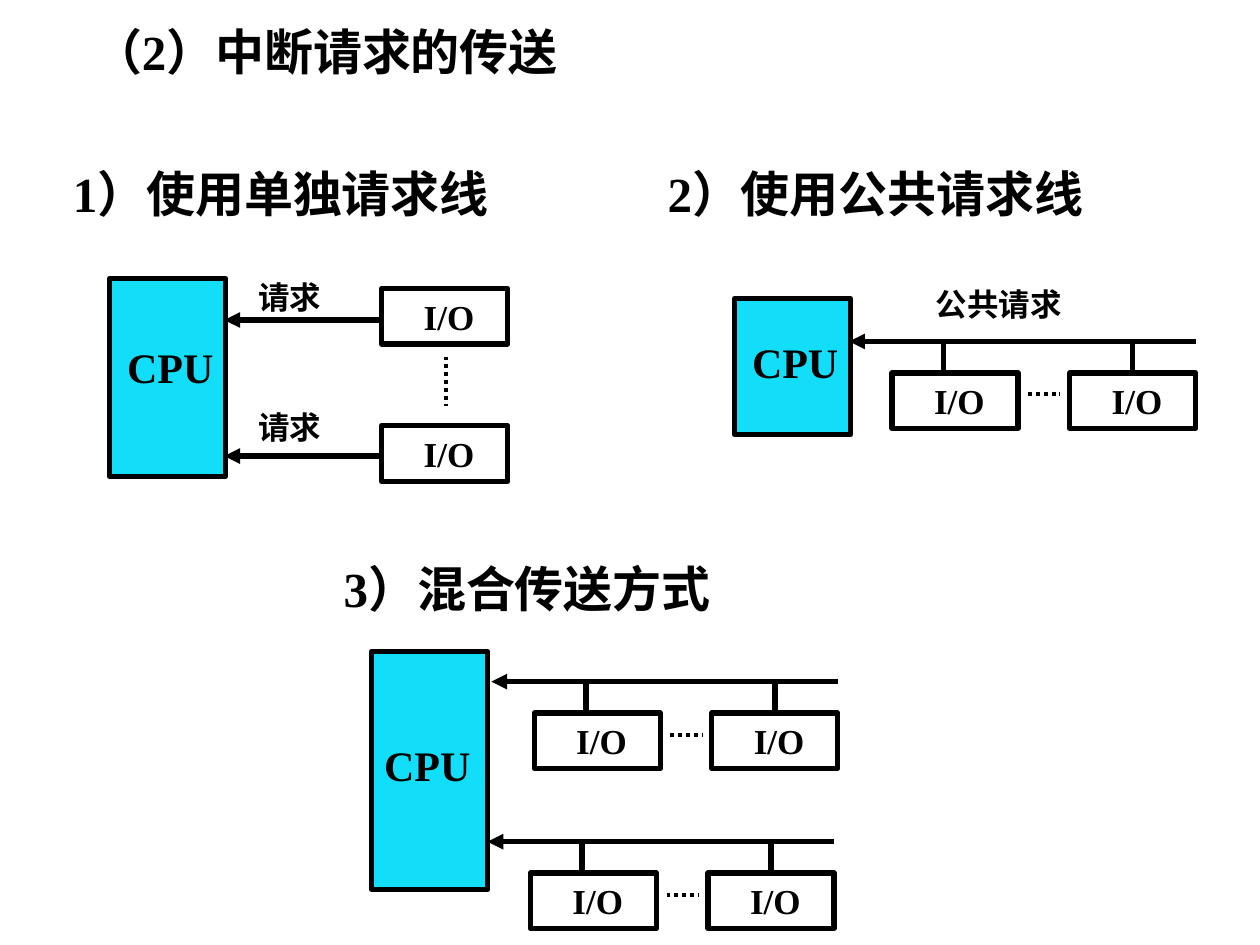
from dataclasses import dataclass

from lxml import etree
from pptx import Presentation
from pptx.dml.color import RGBColor
from pptx.enum import dml, shapes, text
from pptx.oxml.ns import qn
from pptx.util import Inches, Pt


@dataclass(frozen=True)
class Theme:
    ink: RGBColor = RGBColor(0x00, 0x00, 0x00)
    cpu: RGBColor = RGBColor(0x12, 0xDE, 0xFA)
    latin: str = "Times New Roman"
    asian: str = "Noto Sans CJK SC"
    title: int = 28
    chip: int = 24
    unit: int = 20
    note: int = 18
    line: float = 3
    dots: float = 2.25


THEME = Theme()


def add_run(frame, words, size, font=THEME.latin):
    run = frame.paragraphs[0].add_run()
    run.text = words
    run.font.name = font
    run.font.size = Pt(size)
    run.font.bold = True
    run.font.color.rgb = THEME.ink
    # East Asian letters take their own typeface
    east = etree.SubElement(run.font._element, qn("a:ea"))
    east.set("typeface", THEME.asian)


def add_label(slide, words, left, top, width, height, size, font=THEME.latin):
    box = slide.shapes.add_textbox(
        Inches(left), Inches(top), Inches(width), Inches(height))
    box.text_frame.word_wrap = True
    add_run(box.text_frame, words, size, font)


def add_box(slide, left, top, width, height):
    box = slide.shapes.add_shape(
        shapes.MSO_SHAPE.RECTANGLE,
        Inches(left), Inches(top), Inches(width), Inches(height))
    box.shadow.inherit = False
    box.line.color.rgb = THEME.ink
    box.line.width = Pt(THEME.line)
    return box


def add_line(slide, x1, y1, x2, y2, arrow=False, dotted=False):
    line = slide.shapes.add_connector(
        shapes.MSO_CONNECTOR.STRAIGHT,
        Inches(x1), Inches(y1), Inches(x2), Inches(y2))
    line.line.color.rgb = THEME.ink
    line.line.width = Pt(THEME.dots if dotted else THEME.line)
    if dotted:
        line.line.dash_style = dml.MSO_LINE.ROUND_DOT
    if arrow:
        head = etree.SubElement(line.line._get_or_add_ln(), qn("a:headEnd"))
        head.set("type", "triangle")
    etree.SubElement(line._element.spPr, qn("a:effectLst"))


def add_cpu(slide, left, top, height, text_left, text_top):
    box = add_box(slide, left, top, 0.92, height)
    box.fill.solid()
    box.fill.fore_color.rgb = THEME.cpu
    add_label(slide, "CPU", text_left, text_top, 1.08, 0.5, THEME.chip)


def add_unit(slide, left, top):
    box = add_box(slide, left, top, 1, 0.44)
    box.fill.background()
    frame = box.text_frame
    frame.vertical_anchor = text.MSO_ANCHOR.MIDDLE
    frame.paragraphs[0].alignment = text.PP_ALIGN.CENTER
    add_run(frame, " I/O", THEME.unit)


def add_bus(slide, left, top):
    """A shared request line with two units hanging from it."""
    add_line(slide, left, top, left + 2.75, top, arrow=True)
    for unit, stub in ((0.34, 0.75), (1.75, 2.25)):
        add_unit(slide, left + unit, top + 0.25)
        add_line(slide, left + stub, top, left + stub, top + 0.25)
    add_line(slide, left + 1.42, top + 0.42, left + 1.67, top + 0.42,
             dotted=True)


def main():
    deck = Presentation()
    deck.slide_width, deck.slide_height = Inches(10), Inches(7.5)
    slide = deck.slides.add_slide(deck.slide_layouts[6])

    # Headings
    for words, left, top, width in (
            ("（2）中断请求的传送", 0.64, 0.12, 6.33),
            ("1）使用单独请求线", 0.48, 1.25, 4.92),
            ("2）使用公共请求线", 5.2, 1.25, 3.96),
            ("3）混合传送方式", 2.63, 4.38, 3.96)):
        add_label(slide, words, left, top, width, 0.57, THEME.title)

    # Separate request lines
    add_cpu(slide, 0.87, 2.21, 1.57, 0.91, 2.66)
    for line, note, unit in ((2.54, 2.16, 2.29), (3.62, 3.19, 3.38)):
        add_line(slide, 1.78, line, 3.03, line, arrow=True)
        add_label(slide, "请求", 1.95, note, 1.33, 0.4,
                  THEME.note, THEME.asian)
        add_unit(slide, 3.03, unit)
    add_line(slide, 3.54, 2.83, 3.54, 3.22, dotted=True)

    # Shared request line
    add_cpu(slide, 5.83, 2.37, 1.08, 5.87, 2.62)
    add_label(slide, "公共请求", 7.33, 2.21, 1.83, 0.4,
              THEME.note, THEME.asian)
    add_bus(slide, 6.74, 2.71)

    # Mixed mode
    add_cpu(slide, 2.95, 5.17, 1.89, 2.95, 5.82)
    for left, top in ((3.9, 5.41), (3.87, 6.68)):
        add_bus(slide, left, top)

    deck.save("out.pptx")


if __name__ == "__main__":
    main()
